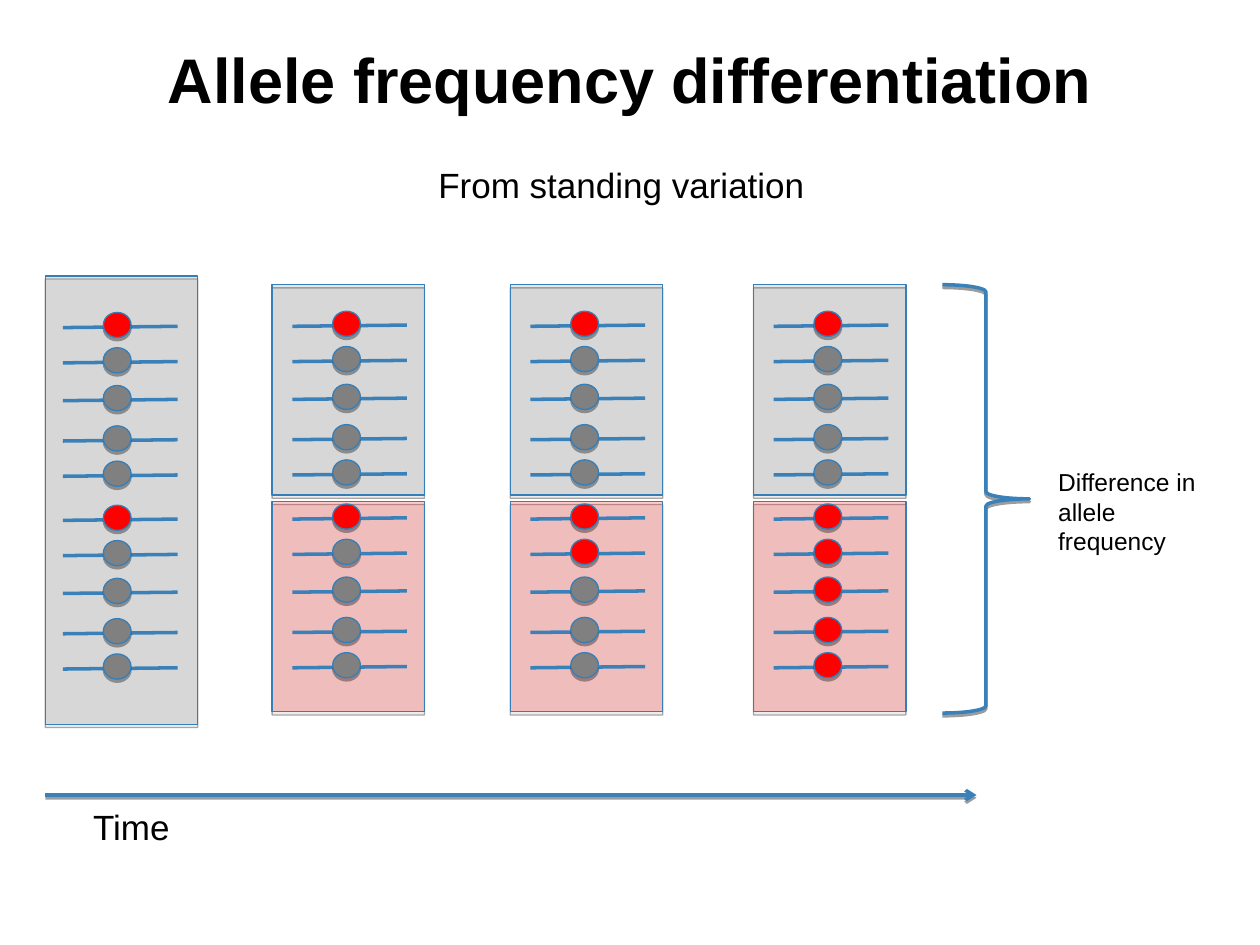
from lxml import etree
from pptx import Presentation
from pptx.dml.color import RGBColor
from pptx.enum import shapes, text
from pptx.oxml import ns
from pptx.util import Inches, Pt

BLUE, EDGE = "3A81BA", "357EB8"
GREY, RED, BLACK = "808080", "FF0000", "000000"


def color(code):
    return RGBColor.from_string(code)


def add(node, tag, **attrs):
    return etree.SubElement(node, ns.qn(tag), attrs)


class Deck:
    font = "Arial"

    def __init__(self, slide):
        self.slide = slide

    def shade(self, item, alpha=None, dist=1.8):
        """Leave an empty effect list, or one holding a downward shadow."""
        props = item._element.spPr
        for old in props.findall(ns.qn("a:effectLst")):
            props.remove(old)
        effects = add(props, "a:effectLst")
        if alpha:
            shadow = add(effects, "a:outerShdw", blurRad="0",
                         dist=str(Pt(dist)), dir="5400000", rotWithShape="0")
            tint = add(shadow, "a:srgbClr", val=BLACK)
            add(tint, "a:alpha", val=str(alpha * 1000))

    def shape(self, kind, x, y, w, h, fill=None, alpha=None,
              line=EDGE, width=0.75, shadow=(35, 1.8)):
        item = self.slide.shapes.add_shape(
            kind, Inches(x), Inches(y), Inches(w), Inches(h))
        if fill:
            item.fill.solid()
            item.fill.fore_color.rgb = color(fill)
        else:
            item.fill.background()
        if alpha:
            tint = item._element.spPr.find(
                ns.qn("a:solidFill")).find(ns.qn("a:srgbClr"))
            add(tint, "a:alpha", val=str(alpha * 1000))
        item.line.color.rgb = color(line)
        item.line.width = Pt(width)
        self.shade(item, *shadow)
        return item

    def line(self, x1, y1, x2, y2, arrow=False):
        item = self.slide.shapes.add_connector(
            shapes.MSO_CONNECTOR.STRAIGHT,
            Inches(x1), Inches(y1), Inches(x2), Inches(y2))
        item.line.color.rgb = color(BLUE)
        item.line.width = Pt(2)
        if arrow:
            add(item.line._get_or_add_ln(), "a:tailEnd", type="arrow")
            self.shade(item, 38, 1.6)
        else:
            self.shade(item)

    def label(self, x, y, w, h, lines, size, title=False):
        box = self.slide.shapes.add_textbox(
            Inches(x), Inches(y), Inches(w), Inches(h))
        frame = box.text_frame
        frame.word_wrap = title
        if title:
            frame.vertical_anchor = text.MSO_ANCHOR.MIDDLE
            frame.margin_top = frame.margin_bottom = Inches(0.1)
        else:
            frame.auto_size = text.MSO_AUTO_SIZE.SHAPE_TO_FIT_TEXT
        for i, words in enumerate(lines):
            para = frame.add_paragraph() if i else frame.paragraphs[0]
            if title:
                para.alignment = text.PP_ALIGN.CENTER
            run = para.add_run()
            run.text = words
            run.font.name = self.font
            run.font.size = Pt(size)
            run.font.bold = title
            run.font.color.rgb = color(BLACK)

    def allele(self, x, y, fill):
        """A strand with its marker on top."""
        self.line(x - 0.32, y + 0.12, x + 0.59, y + 0.11)
        self.shape(shapes.MSO_SHAPE.OVAL, x, y, 0.22, 0.2, fill)


def main():
    prs = Presentation()
    prs.slide_width, prs.slide_height = Inches(10), Inches(7.5)
    deck = Deck(prs.slides.add_slide(prs.slide_layouts[6]))

    # Headings
    deck.label(0.5, 0, 9, 1.25, ["Allele frequency differentiation"], 36, True)
    deck.label(3.38, 1.25, 3.11, 0.43, ["From standing variation"], 20)

    # Populations: one ancestor, then three split stages
    rect = shapes.MSO_SHAPE.RECTANGLE
    deck.shape(rect, 0.36, 2.19, 1.21, 3.56, GREY, 20)
    for x in (2.16, 4.05, 5.98):
        deck.shape(rect, x, 2.26, 1.21, 1.67, GREY, 20)
        deck.shape(rect, x, 3.98, 1.21, 1.67, RED, 20)

    # Alleles: R is the selected variant, two groups of five per stage
    rows = [top + step for top in (0, 1.53)
            for step in (0, 0.28, 0.58, 0.9, 1.18)]
    stages = [(0.82, 2.48, "RggggRgggg"), (2.64, 2.47, "RggggRgggg"),
              (4.53, 2.47, "RggggRRggg"), (6.46, 2.47, "RggggRRRRR")]
    for x, top, kinds in stages:
        for row, kind in zip(rows, kinds):
            deck.allele(x, top + row, RED if kind == "R" else GREY)

    # Comparison
    deck.shape(shapes.MSO_SHAPE.RIGHT_BRACE, 7.48, 2.26, 0.69, 3.4,
               line=BLUE, width=2, shadow=(38, 1.6))
    deck.label(8.3, 3.66, 1.56, 0.57,
               ["Difference in", "allele frequency"], 14)

    # Time axis
    deck.line(0.36, 6.31, 7.75, 6.31, arrow=True)
    deck.label(0.64, 6.34, 0.81, 0.43, ["Time"], 20)

    prs.save("out.pptx")


if __name__ == "__main__":
    main()
